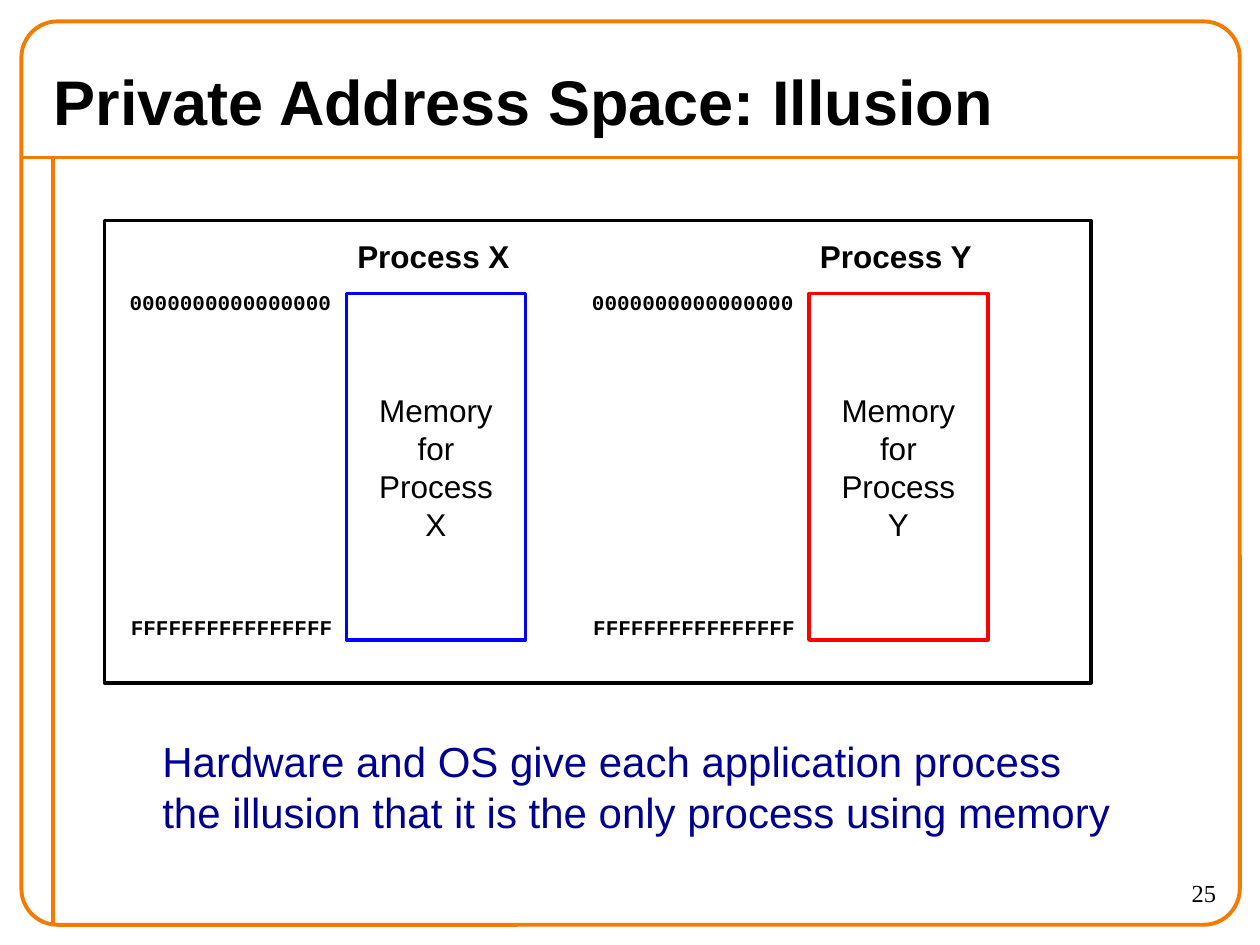
from dataclasses import dataclass

from lxml import etree
from pptx import Presentation
from pptx.dml.color import RGBColor
from pptx.enum import shapes, text
from pptx.oxml import ns
from pptx.util import Inches, Pt


@dataclass(frozen=True)
class Theme:
    orange: str = "F47A00"
    black: str = "000000"
    navy: str = "000090"
    blue: str = "0000FF"
    red: str = "FF0000"
    sans: str = "Arial"
    mono: str = "Courier New"
    serif: str = "Times New Roman"
    title: int = 36
    message: int = 24
    label: int = 18
    number: int = 14
    address: int = 12


T = Theme()
LEFT, CENTER, RIGHT = text.PP_ALIGN.LEFT, text.PP_ALIGN.CENTER, text.PP_ALIGN.RIGHT
TOP, MIDDLE = text.MSO_ANCHOR.TOP, text.MSO_ANCHOR.MIDDLE

prs = Presentation()
prs.slide_width, prs.slide_height = Inches(10), Inches(7.5)
s = prs.slides.add_slide(prs.slide_layouts[6])


def write(sp, lines, size, font=T.sans, color=T.black, bold=False,
          align=LEFT, anchor=TOP, wrap=False):
    tf = sp.text_frame
    tf.word_wrap = wrap
    tf.vertical_anchor = anchor
    for i, line in enumerate(lines):
        p = tf.paragraphs[0] if i == 0 else tf.add_paragraph()
        p.alignment = align
        r = p.add_run()
        r.text = line
        r.font.size, r.font.name, r.font.bold = Pt(size), font, bold
        r.font.color.rgb = RGBColor.from_string(color)


def outline(kind, x, y, w, h, color, width):
    sp = s.shapes.add_shape(kind, Inches(x), Inches(y), Inches(w), Inches(h))
    sp.shadow.inherit = False
    sp.fill.background()
    sp.line.color.rgb = RGBColor.from_string(color)
    sp.line.width = Pt(width)
    return sp


# Orange page frame: title rule, margin rule, rounded border
for x1, y1, x2, y2 in [(0.17, 1.25, 9.83, 1.25), (0.42, 1.25, 0.42, 7.33)]:
    rule = s.shapes.add_connector(shapes.MSO_CONNECTOR.STRAIGHT,
                                  Inches(x1), Inches(y1), Inches(x2), Inches(y2))
    rule.line.color.rgb = RGBColor.from_string(T.orange)
    rule.line.width = Pt(2.25)
    etree.SubElement(rule._element.spPr, ns.qn("a:effectLst"))
border = outline(shapes.MSO_SHAPE.ROUNDED_RECTANGLE, 0.17, 0.17, 9.67, 7.17, T.orange, 2.25)
border.adjustments[0] = 0.04

# Title
title = s.shapes.add_textbox(Inches(0.33), Inches(0.42), Inches(9.33), Inches(0.75))
write(title, ["Private Address Space: Illusion"], T.title, bold=True, anchor=MIDDLE, wrap=True)

# Box around both processes
outline(shapes.MSO_SHAPE.RECTANGLE, 0.83, 1.75, 7.83, 3.67, T.black, 2)

# One memory column per process: heading, memory block, first and last address
for name, x, color in [("X", 2.75, T.blue), ("Y", 6.42, T.red)]:
    heading = s.shapes.add_textbox(Inches(x - 0.11), Inches(1.83), Inches(1.6), Inches(0.4))
    write(heading, [f"Process {name}"], T.label, bold=True, align=CENTER)

    memory = outline(shapes.MSO_SHAPE.RECTANGLE, x, 2.33, 1.42, 2.75, color, 2)
    write(memory, ["Memory", "for", "Process", name], T.label, align=CENTER, anchor=MIDDLE)

    for digit, dx, y in [("0", 1.82, 2.25), ("F", 1.81, 4.83)]:
        address = s.shapes.add_textbox(Inches(x - dx), Inches(y), Inches(1.8), Inches(0.3))
        write(address, [digit * 16], T.address, font=T.mono, bold=True)

# Message
message = s.shapes.add_textbox(Inches(1.19), Inches(5.79), Inches(7.72), Inches(0.9))
write(message, ["Hardware and OS give each application process",
                "the illusion that it is the only process using memory"],
      T.message, color=T.navy)

# Slide number
number = s.shapes.add_textbox(Inches(8.75), Inches(6.92), Inches(1), Inches(0.42))
write(number, ["25"], T.number, font=T.serif, align=RIGHT, wrap=True)

prs.save("out.pptx")
